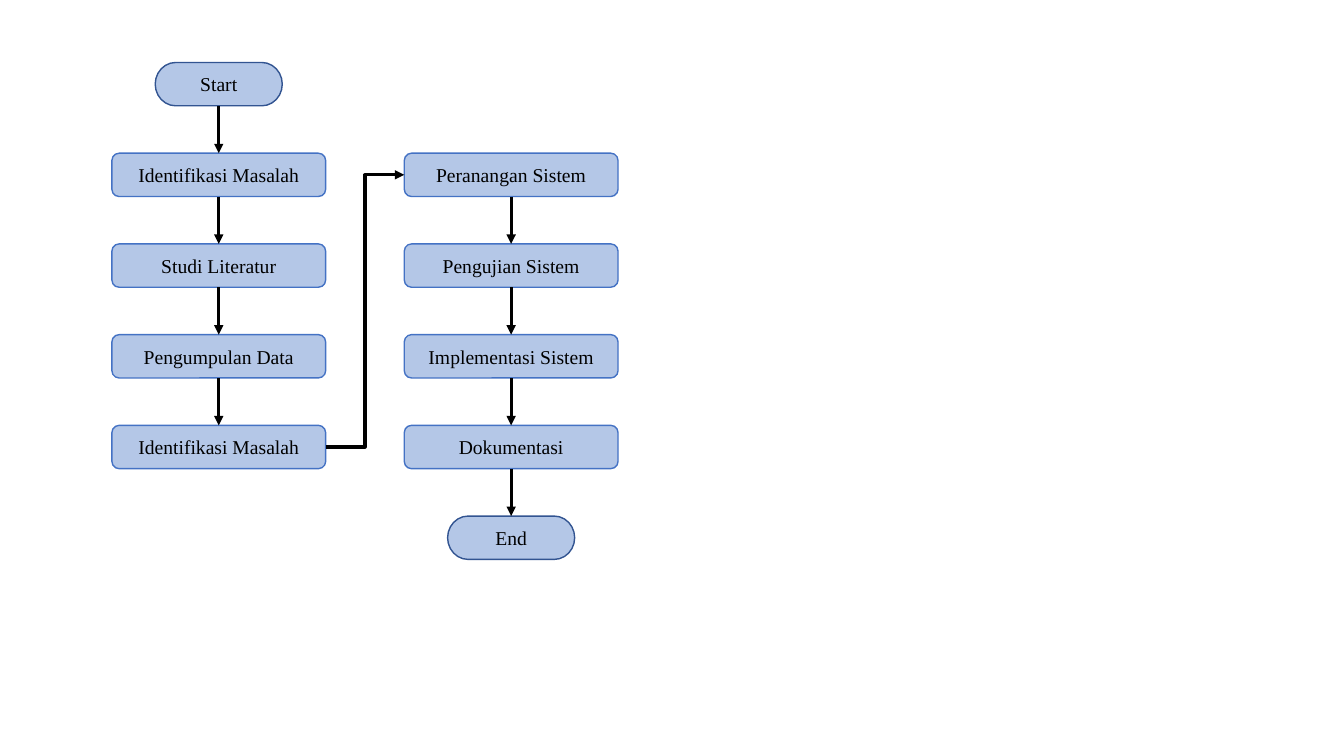
from itertools import pairwise

from pptx import Presentation
from pptx.dml.color import RGBColor
from pptx.enum.shapes import MSO_CONNECTOR, MSO_SHAPE
from pptx.enum.text import MSO_ANCHOR, PP_ALIGN
from pptx.oxml.ns import qn
from pptx.util import Inches, Pt
from lxml import etree

STEP = MSO_SHAPE.ROUNDED_RECTANGLE
TERMINAL = MSO_SHAPE.FLOWCHART_TERMINATOR
STRAIGHT, ELBOW = MSO_CONNECTOR.STRAIGHT, MSO_CONNECTOR.ELBOW
MIDDLE, CENTER = MSO_ANCHOR.MIDDLE, PP_ALIGN.CENTER

PALE_BLUE = RGBColor(0xB4, 0xC7, 0xE7)
STEP_EDGE = RGBColor(0x44, 0x72, 0xC4)
TERMINAL_EDGE = RGBColor(0x32, 0x54, 0x91)
BLACK = RGBColor(0, 0, 0)

# Grid in inches: column centres, first row top and row pitch
COLUMN_CENTERS = (2.17, 5.07)
FIRST_TOP, ROW_PITCH = 0.62, 0.9
NODE_HEIGHT = 0.43
NODE_STYLES = {STEP: (2.12, STEP_EDGE), TERMINAL: (1.26, TERMINAL_EDGE)}

# Connection sites shared by both node shapes
TOP, LEFT, BOTTOM, RIGHT = range(4)

# Each column: its first row, then its nodes from top to bottom
COLUMNS = (
    (0, (("Start", TERMINAL), ("Identifikasi Masalah", STEP),
         ("Studi Literatur", STEP), ("Pengumpulan Data", STEP),
         ("Identifikasi Masalah", STEP))),
    (1, (("Peranangan Sistem", STEP), ("Pengujian Sistem", STEP),
         ("Implementasi Sistem", STEP), ("Dokumentasi", STEP),
         ("End", TERMINAL))),
)


def add_node(page, column, row, text, kind):
    width, edge = NODE_STYLES[kind]
    node = page.shapes.add_shape(
        kind, Inches(COLUMN_CENTERS[column] - width / 2),
        Inches(FIRST_TOP + row * ROW_PITCH), Inches(width), Inches(NODE_HEIGHT))
    node.shadow.inherit = False
    node.fill.solid()
    node.fill.fore_color.rgb = PALE_BLUE
    node.line.color.rgb = edge
    node.line.width = Pt(1)
    frame = node.text_frame
    frame.word_wrap = True
    frame.vertical_anchor = MIDDLE
    para = frame.paragraphs[0]
    para.text = text
    para.alignment = CENTER
    para.font.name = "Times New Roman"
    para.font.size = Pt(14)
    para.font.color.rgb = BLACK
    return node


def add_arrow(page, source, target, kind=STRAIGHT, exit_site=BOTTOM, entry_site=TOP):
    arrow = page.shapes.add_connector(kind, 0, 0, 0, 0)
    arrow.begin_connect(source, exit_site)
    arrow.end_connect(target, entry_site)
    arrow.line.color.rgb = BLACK
    arrow.line.width = Pt(2.25)
    etree.SubElement(arrow.line._get_or_add_ln(), qn("a:tailEnd"), type="triangle")
    etree.SubElement(arrow._element.spPr, qn("a:effectLst"))


def add_column(page, column, first_row, entries):
    """Stack the nodes of one column, link them downwards and return them."""
    nodes = [add_node(page, column, row, text, kind)
             for row, (text, kind) in enumerate(entries, first_row)]
    for source, target in pairwise(nodes):
        add_arrow(page, source, target)
    return nodes


def main():
    deck = Presentation()
    deck.slide_width, deck.slide_height = Inches(13.33), Inches(7.5)
    page = deck.slides.add_slide(deck.slide_layouts[6])
    left_nodes, right_nodes = [
        add_column(page, column, first_row, entries)
        for column, (first_row, entries) in enumerate(COLUMNS)]
    add_arrow(page, left_nodes[-1], right_nodes[0], ELBOW, RIGHT, LEFT)
    deck.save("out.pptx")


if __name__ == "__main__":
    main()
